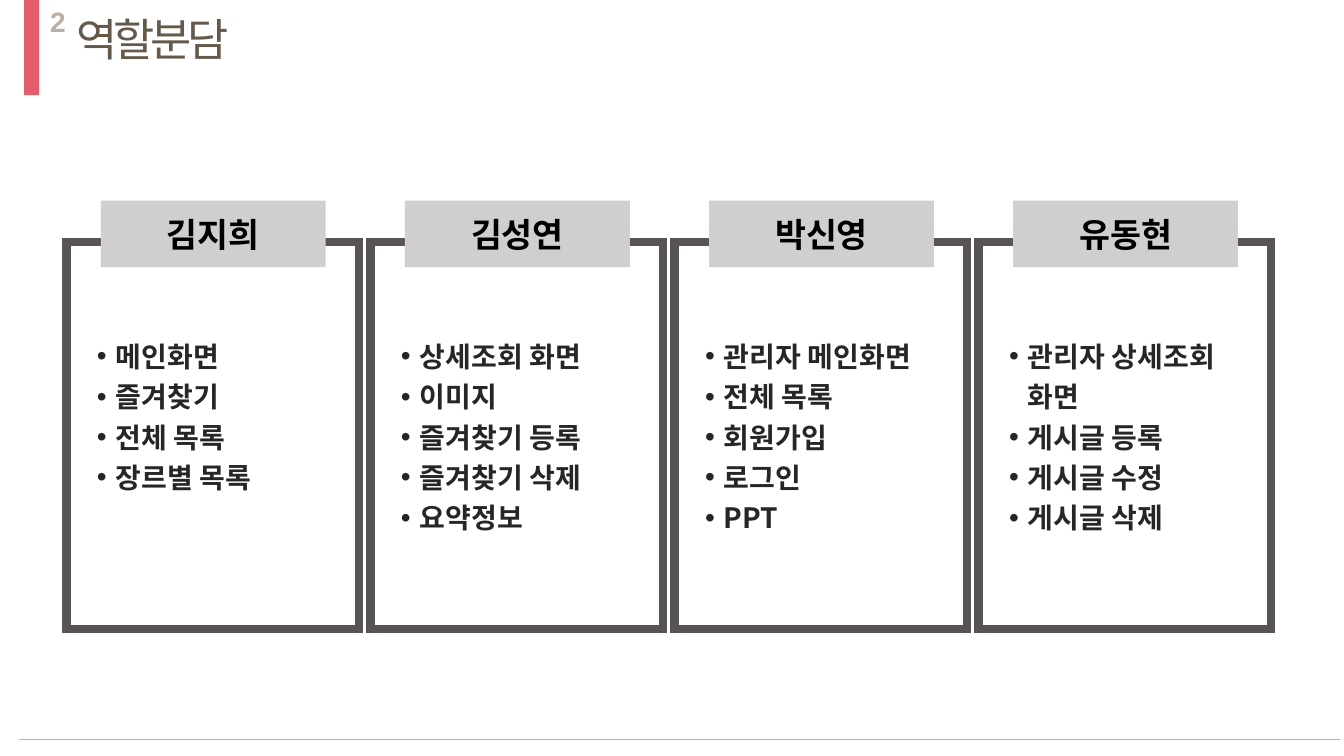
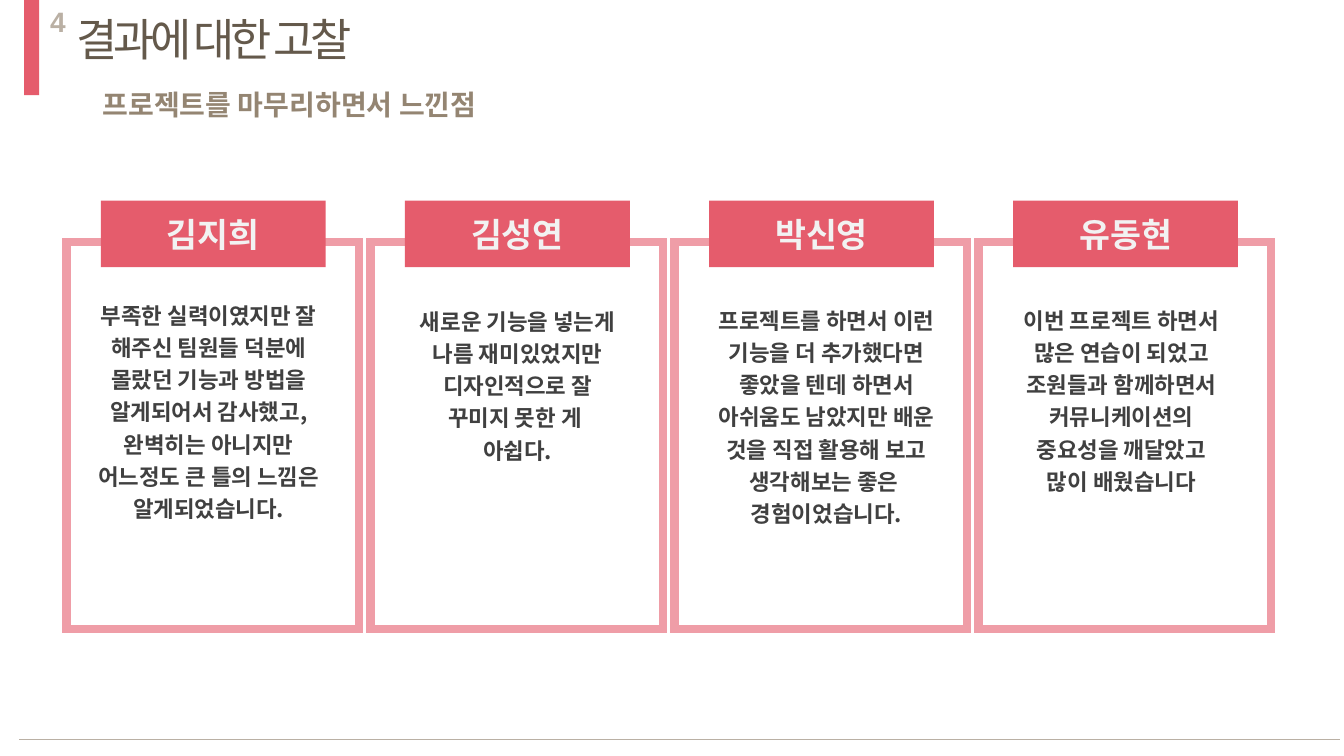
import lxml.etree
import pptx
import pptx.dml.color
import pptx.enum.shapes
import pptx.enum.text
import pptx.oxml.ns
import pptx.util

Pt = pptx.util.Pt
RGBColor = pptx.dml.color.RGBColor
ALIGN = pptx.enum.text.PP_ALIGN
ANCHOR = pptx.enum.text.MSO_ANCHOR
qn = pptx.oxml.ns.qn

CORAL = RGBColor(0xE5, 0x5C, 0x6C)
PINK = RGBColor(0xEF, 0x9D, 0xA7)
SAND = RGBColor(0xBA, 0xB0, 0xA4)
BROWN = RGBColor(0x64, 0x59, 0x4B)
TAN = RGBColor(0x94, 0x85, 0x72)
CHARCOAL = RGBColor(0x58, 0x54, 0x54)
SILVER = RGBColor(0xD0, 0xCE, 0xCE)
BLACK = RGBColor(0x00, 0x00, 0x00)
INK = RGBColor(0x26, 0x26, 0x26)
GRAPHITE = RGBColor(0x40, 0x40, 0x40)
PALE = RGBColor(0xF2, 0xF2, 0xF2)

KOREAN = "Noto Sans CJK KR"
LATIN = "Arial"
COMPARISON_LAYOUT = 4
CARD_LEFT, CARD_PITCH = 47.5, 217.2
BAND_INSET = 24.6
LIST_INSET = 14.5

MEMBERS = ["김지희", "김성연", "박신영", "유동현"]
ROLES = [
    ["메인화면", "즐겨찾기", "전체 목록", "장르별 목록"],
    ["상세조회 화면", "이미지", "즐겨찾기 등록", "즐겨찾기 삭제", "요약정보"],
    ["관리자 메인화면", "전체 목록", "회원가입", "로그인", "PPT"],
    ["관리자 상세조회 화면", "게시글 등록", "게시글 수정", "게시글 삭제"],
]
REFLECTIONS = [
    ((57.6, 208.1, 182.9, 168),
     ["부족한 실력이였지만 잘 해주신 팀원들 덕분에 몰랐던 기능과 방법을 알게되어서 감사했고, "
      "완벽히는 아니지만 어느정도 큰 틀의 느낌은 알게되었습니다."]),
    ((289.4, 212.4, 160.6, 121),
     ["새로운 기능을 넣는게 나름 재미있었지만 디자인적으로 잘 꾸미지 못한 게 ", "아쉽다."]),
    ((501.8, 211.7, 177.1, 168),
     ["프로젝트를 하면서 이런 기능을 더 추가했다면 좋았을 텐데 하면서 아쉬움도 남았지만 "
      "배운 것을 직접 활용해 보고 생각해보는 좋은 ", "경험이었습니다."]),
    ((717.1, 211.7, 167.8, 145),
     ["이번 프로젝트 하면서 많은 연습이 되었고 조원들과 함께하면서 커뮤니케이션의 "
      "중요성을 깨달았고 많이 배웠습니다"]),
]


class Deck:
    """Hold the shared style and the slide being built."""

    def __init__(self):
        self.presentation = pptx.Presentation()
        self.presentation.slide_width = Pt(960)
        self.presentation.slide_height = Pt(540)
        self.slide = None

    def place(self, shape, box):
        for name, value in zip(("left", "top", "width", "height"), box):
            setattr(shape, name, Pt(value))

    def fill_text(self, shape, lines, size, color, bold=True, name=KOREAN, align=ALIGN.LEFT,
                  anchor=ANCHOR.TOP, spacing=1.0, bullet=False, tracking=None):
        frame = shape.text_frame
        frame_format = {"word_wrap": True, "vertical_anchor": anchor,
                        "auto_size": pptx.enum.text.MSO_AUTO_SIZE.NONE}
        for key, value in frame_format.items():
            setattr(frame, key, value)
        for index, line in enumerate(lines):
            paragraph = frame.add_paragraph() if index else frame.paragraphs[0]
            properties = paragraph._p.get_or_add_pPr()
            indent = Pt(13.5) if bullet else 0
            properties.set("marL", str(indent))
            properties.set("indent", str(-indent))
            if bullet:
                lxml.etree.SubElement(properties, qn("a:buFont"), typeface=LATIN)
                lxml.etree.SubElement(properties, qn("a:buChar"), char="•")
            else:
                lxml.etree.SubElement(properties, qn("a:buNone"))
            paragraph_format = {"alignment": align, "line_spacing": spacing,
                                "space_before": Pt(0), "space_after": Pt(0)}
            for key, value in paragraph_format.items():
                setattr(paragraph, key, value)
            run = paragraph.add_run()
            run.text = line
            for key, value in {"size": Pt(size), "bold": bold, "name": name}.items():
                setattr(run.font, key, value)
            run.font.color.rgb = color
            run_properties = run._r.get_or_add_rPr()
            lxml.etree.SubElement(run_properties, qn("a:ea"), typeface=KOREAN)
            if tracking:
                run_properties.set("spc", str(tracking))

    def text(self, box, line, size, color, **style):
        shape = self.slide.shapes.add_textbox(*map(Pt, box))
        self.fill_text(shape, [line], size, color, **style)

    def rectangle(self, box, fill=None, outline=None):
        shape = self.slide.shapes.add_shape(
            pptx.enum.shapes.MSO_SHAPE.RECTANGLE, *map(Pt, box))
        shape.shadow.inherit = False
        if fill is None:
            shape.fill.background()
        else:
            shape.fill.solid()
            shape.fill.fore_color.rgb = fill
        if outline is None:
            shape.line.fill.background()
        else:
            shape.line.color.rgb = outline
            shape.line.width = Pt(6)
            line = shape._element.spPr.find(qn("a:ln"))
            lxml.etree.SubElement(line, qn("a:miter"), lim="800000")
        return shape

    def rule(self, left, right, top):
        connector = self.slide.shapes.add_connector(
            pptx.enum.shapes.MSO_CONNECTOR.STRAIGHT, Pt(left), Pt(top), Pt(right), Pt(top))
        connector.line.color.rgb = SAND
        connector.line.width = Pt(0.5)
        lxml.etree.SubElement(connector._element.spPr, qn("a:effectLst"))

    def new_slide(self, number, title):
        layout = self.presentation.slide_layouts[COMPARISON_LAYOUT]
        self.slide = self.presentation.slides.add_slide(layout)
        self.rectangle((17.2, 0, 10.8, 68), fill=CORAL)
        self.text((28.8, 0, 36.7, 31.5), number, 20, SAND, name=LATIN)
        heading = self.slide.shapes.title
        self.place(heading, (47.5, 5, 600, 46))
        self.fill_text(heading, [title], 32, BROWN, bold=False, tracking=-300)
        self.rule(13.7, 956.9, 527.8)

    def cards(self, outline, fill, color):
        for index, member in enumerate(MEMBERS):
            left = CARD_LEFT + index * CARD_PITCH
            self.rectangle((left, 172.8, 208.8, 276.5), outline=outline)
            band = self.rectangle((left + BAND_INSET, 143.3, 160.6, 47.6), fill=fill)
            self.fill_text(band, [member], 24, color, align=ALIGN.CENTER, anchor=ANCHOR.MIDDLE)

    def body(self, index, box, lines, size, color, **style):
        shape = self.slide.placeholders[index + 1]
        self.place(shape, box)
        self.fill_text(shape, lines, size, color, spacing=1.2, **style)


def main():
    deck = Deck()

    deck.new_slide("2", "역할분담")
    deck.cards(CHARCOAL, SILVER, BLACK)
    for index, roles in enumerate(ROLES):
        left = CARD_LEFT + LIST_INSET + index * CARD_PITCH
        deck.body(index, (left, 234, 182.2, 179), roles, 20, INK, bullet=True)

    deck.new_slide("4", "결과에 대한 고찰")
    deck.text((66.2, 59, 337.7, 31.7), "프로젝트를 마무리하면서 느낀점", 20, TAN, name=LATIN)
    deck.cards(PINK, CORAL, PALE)
    for index, (box, lines) in enumerate(REFLECTIONS):
        deck.body(index, box, lines, 16, GRAPHITE, align=ALIGN.CENTER)

    deck.presentation.save("out.pptx")


if __name__ == "__main__":
    main()
